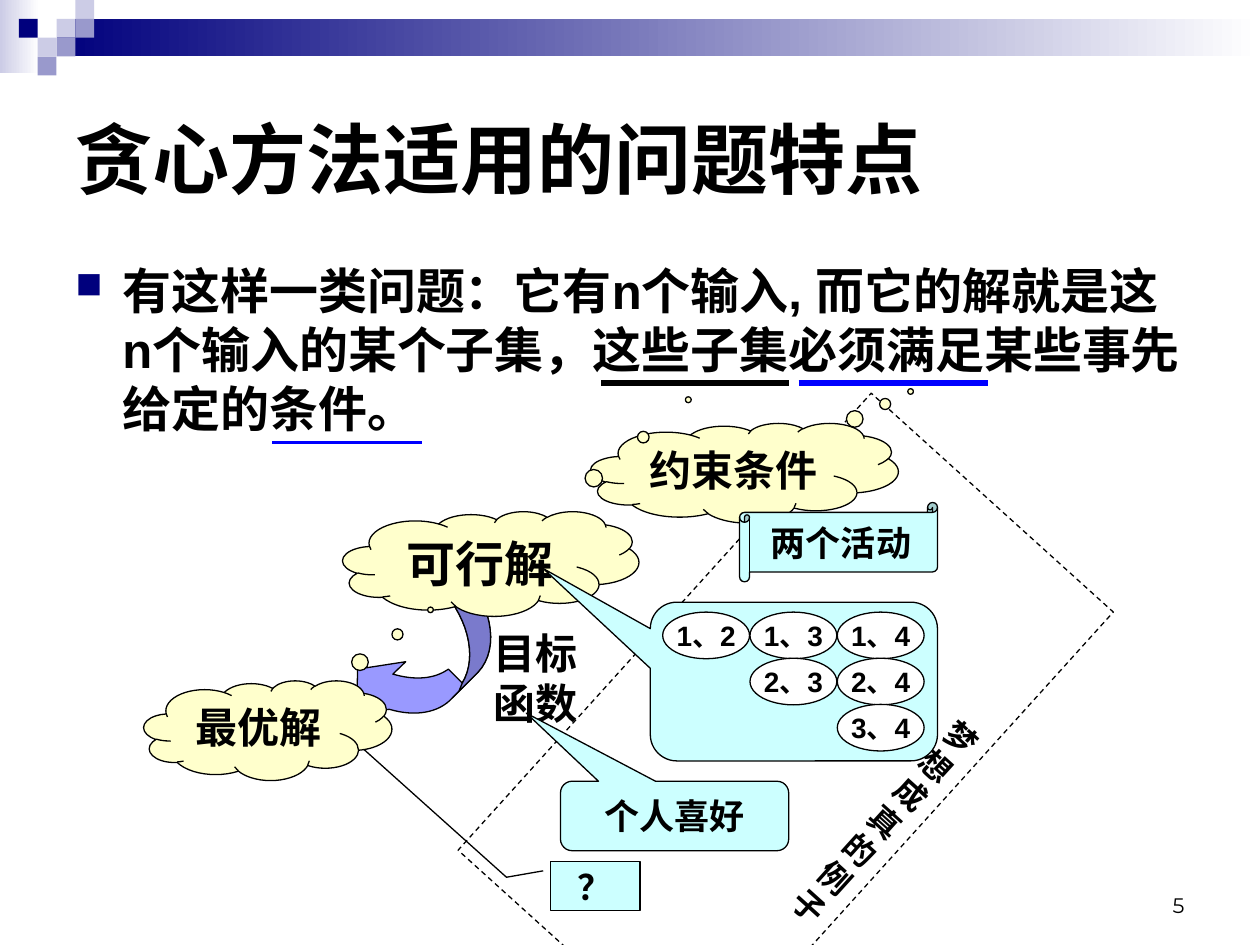
from dataclasses import dataclass

from lxml.etree import SubElement
from pptx import Presentation
from pptx.dml.color import RGBColor
from pptx.enum.dml import MSO_LINE
from pptx.enum.shapes import MSO_CONNECTOR, MSO_SHAPE as Preset
from pptx.enum.text import MSO_ANCHOR as Anchor, PP_ALIGN as Align
from pptx.oxml.ns import qn
from pptx.util import Cm, Pt

BLACK, WHITE, NAVY, BLUE = "000000", "FFFFFF", "00007D", "0000FF"
LAVENDER, VIOLET = "CCCCE6", "9999CC"
YELLOW, CYAN = "FFFFCC", "CCFFFF"


@dataclass
class Box:
    left: float
    top: float
    width: float
    height: float

    def lengths(self) -> list:
        return [Cm(v) for v in (self.left, self.top, self.width, self.height)]


@dataclass
class Callout:
    preset: Preset
    box: Box
    fill: str
    adjustments: tuple
    text: str
    size: int
    anchor: Anchor = Anchor.MIDDLE
    wrap: bool = False


@dataclass
class Underline:
    left: float
    right: float
    top: float
    color: str
    weight: float


def rgb(color: str) -> RGBColor:
    return RGBColor.from_string(color)


def write(shape, text: str, *, size=24, font="Arial", bold=True, align=Align.LEFT,
          anchor=Anchor.TOP, wrap=True, bullet=False) -> None:
    frame = shape.text_frame
    frame.word_wrap = wrap
    frame.vertical_anchor = anchor
    for index, line in enumerate(text.split("\n")):
        paragraph = frame.add_paragraph() if index else frame.paragraphs[0]
        paragraph.alignment = align
        if bullet:
            add_bullet(paragraph)
        run = paragraph.add_run()
        run.text = line
        run.font.size, run.font.name, run.font.bold = Pt(size), font, bold
        run.font.color.rgb = rgb(BLACK)


def add_bullet(paragraph) -> None:
    properties = paragraph._p.get_or_add_pPr()
    properties.set("marL", str(Cm(0.95)))
    properties.set("indent", str(-Cm(0.95)))
    color = SubElement(properties, qn("a:buClr"))
    SubElement(color, qn("a:srgbClr"), val=NAVY)
    SubElement(properties, qn("a:buSzPct"), val="75000")
    SubElement(properties, qn("a:buChar"), char="■")


def style(shape, fill=None, line=None) -> None:
    shape.shadow.inherit = False
    if fill:
        shape.fill.solid()
        shape.fill.fore_color.rgb = rgb(fill)
    else:
        shape.fill.background()
    if line:
        shape.line.color.rgb = rgb(line)
        shape.line.width = Pt(0.75)
    else:
        shape.line.fill.background()


def add_preset(shapes, preset: Preset, box: Box, fill=None, line=None, adjustments=()):
    shape = shapes.add_shape(preset, *box.lengths())
    style(shape, fill, line)
    for index, value in enumerate(adjustments):
        shape.adjustments[index] = value
    return shape


def add_gradient(shapes, box: Box, start: str) -> None:
    shape = add_preset(shapes, Preset.RECTANGLE, box)
    shape.fill.gradient()
    shape.fill.gradient_angle = 0
    for stop, color in zip(shape.fill.gradient_stops, (start, WHITE)):
        stop.color.rgb = rgb(color)


def add_text(shapes, box: Box, text: str, **text_format) -> None:
    write(shapes.add_textbox(*box.lengths()), text, **text_format)


def add_callout(shapes, item: Callout) -> None:
    shape = add_preset(shapes, item.preset, item.box, item.fill, BLACK, item.adjustments)
    write(shape, item.text, size=item.size, align=Align.CENTER,
          anchor=item.anchor, wrap=item.wrap)


def add_underline(shapes, item: Underline) -> None:
    line = shapes.add_connector(MSO_CONNECTOR.STRAIGHT, Cm(item.left), Cm(item.top),
                                Cm(item.right), Cm(item.top))
    line.line.color.rgb = rgb(item.color)
    line.line.width = Pt(item.weight)
    SubElement(line._element.spPr, qn("a:effectLst"))


def curve(*controls: tuple, steps: int = 16) -> list:
    """Points along a cubic curve, both ends included."""
    points = []
    for step in range(steps + 1):
        t = step / steps
        weights = ((1 - t) ** 3, 3 * t * (1 - t) ** 2, 3 * t * t * (1 - t), t ** 3)
        points.append(tuple(sum(w * c[axis] for w, c in zip(weights, controls))
                            for axis in (0, 1)))
    return points


def add_outline(shapes, points: list, fill: str) -> None:
    start, *rest = [(Cm(x), Cm(y)) for x, y in points]
    builder = shapes.build_freeform(*start)
    builder.add_line_segments(rest, close=True)
    style(builder.convert_to_shape(), fill, BLACK)


def add_curved_arrow(shapes) -> None:
    outer = curve((9.19, 11.4), (9.91, 12.09), (10.11, 13.06), (9.63, 13.56)) + [(9.12, 14.07)]
    inner = curve((9.32, 13.77), (9.65, 13.23), (9.42, 12.37), (8.79, 11.76))
    head = (curve((9.12, 14.07), (8.84, 14.38), (8.36, 14.45), (7.85, 14.3))
            + [(7.19, 14.35), (7.21, 13.49), (8.18, 13.34)]
            + curve((7.92, 13.59), (8.36, 13.72), (8.76, 13.69), (9.04, 13.49)))
    add_outline(shapes, outer + head + inner, "9999FF")
    add_outline(shapes, outer + [(9.25, 13.94)] + inner, "7A7ACC")


def add_header(shapes) -> None:
    unit = 0.38
    add_gradient(shapes, Box(0, 0, 0.79, 1.47), LAVENDER)
    add_gradient(shapes, Box(3 * unit, unit, 25.4 - 3 * unit, 2 * unit), NAVY)
    squares = [(3, 1, LAVENDER), (4, 0, LAVENDER), (4, 1, VIOLET), (2, 2, LAVENDER),
               (1, 1, NAVY), (3, 2, VIOLET), (2, 3, VIOLET)]
    for column, row, color in squares:
        add_preset(shapes, Preset.RECTANGLE, Box(column * unit, row * unit, unit, unit), color)


def add_pairs(shapes) -> None:
    """Every pair of the activities 1 to 4, one row per first activity."""
    add_preset(shapes, Preset.ROUNDED_RECTANGULAR_CALLOUT, Box(13.11, 12.14, 5.79, 3.2),
               CYAN, BLACK, (-0.873, -0.712, 0.167))
    for first in range(1, 4):
        for second in range(first + 1, 5):
            box = Box(13.36 + 1.76 * (second - 2), 12.34 + 0.93 * (first - 1), 1.75, 0.94)
            oval = add_preset(shapes, Preset.OVAL, box, WHITE, BLACK)
            write(oval, f"{first}、{second}", size=16, align=Align.CENTER,
                  anchor=Anchor.MIDDLE, wrap=False)


CLOUDS = [
    Callout(Preset.CLOUD_CALLOUT, Box(*place), YELLOW, tail, text, size, Anchor.TOP, True)
    for place, tail, text, size in [
        ((11.91, 8.53, 6.2, 2.01), (0.54, -0.817), "约束条件", 24),
        ((6.91, 10.31, 5.97, 2.11), (0.667, -1.567), "可行解", 28),
        ((2.9, 13.72, 5, 2.01), (0.656, -1.209), "最优解", 24)]]
EXAMPLES = [
    Callout(Preset.HORIZONTAL_SCROLL, Box(14.91, 10.13, 3.99, 1.6), CYAN, (0.125,), "两个活动", 20),
    Callout(Preset.ROUNDED_RECTANGULAR_CALLOUT, Box(11.3, 15.75, 4.6, 1.4), CYAN,
            (-0.65, -1.481, 0.167), "个人喜好", 20),
    Callout(Preset.LINE_CALLOUT_2, Box(11.1, 17.37, 1.8, 0.99), CYAN,
            (0.188, -0.083, 0.319, -0.494, -2.288, -2.093), "？", 20)]
UNDERLINES = [Underline(16.1, 19.91, 7.72, BLUE, 3), Underline(5.49, 8.51, 8.92, BLUE, 2.25),
              Underline(12.12, 15.9, 7.72, BLACK, 3)]


def main() -> None:
    presentation = Presentation()
    presentation.slide_width, presentation.slide_height = Cm(25.4), Cm(19.05)
    shapes = presentation.slides.add_slide(presentation.slide_layouts[6]).shapes

    # Header band and page number
    add_header(shapes.add_group_shape().shapes)
    add_text(shapes, Box(18.21, 17.35, 5.92, 1.27), "5", size=12, font="Montserrat",
             bold=False, align=Align.RIGHT, anchor=Anchor.BOTTOM)

    # Tilted frame around the example
    frame = add_preset(shapes, Preset.RECTANGLE, Box(12.55, 8.53, 6.58, 12.42), line=BLACK)
    frame.rotation = 42.1
    frame.line.dash_style = MSO_LINE.DASH
    write(frame, "\n".join("梦想成真的例子"), size=18, align=Align.RIGHT,
          anchor=Anchor.MIDDLE, wrap=False)
    add_curved_arrow(shapes)

    # Title and statement
    add_text(shapes, Box(1.27, 1.27, 22.86, 3.81), "贪心方法适用的问题特点",
             size=44, anchor=Anchor.MIDDLE)
    add_text(shapes, Box(1.27, 5.13, 22.86, 5.23),
             "有这样一类问题：它有n个输入, 而它的解就是这n个输入的某个子集，"
             "这些子集必须满足某些事先给定的条件。", size=28, bullet=True)
    for underline in UNDERLINES:
        add_underline(shapes, underline)

    # Concepts and their examples
    for cloud in CLOUDS:
        add_callout(shapes, cloud)
    add_text(shapes, Box(9.7, 12.52, 2.79, 2.29), "目标函数")
    add_pairs(shapes.add_group_shape().shapes)
    for example in EXAMPLES:
        add_callout(shapes, example)

    presentation.save("out.pptx")


if __name__ == "__main__":
    main()
